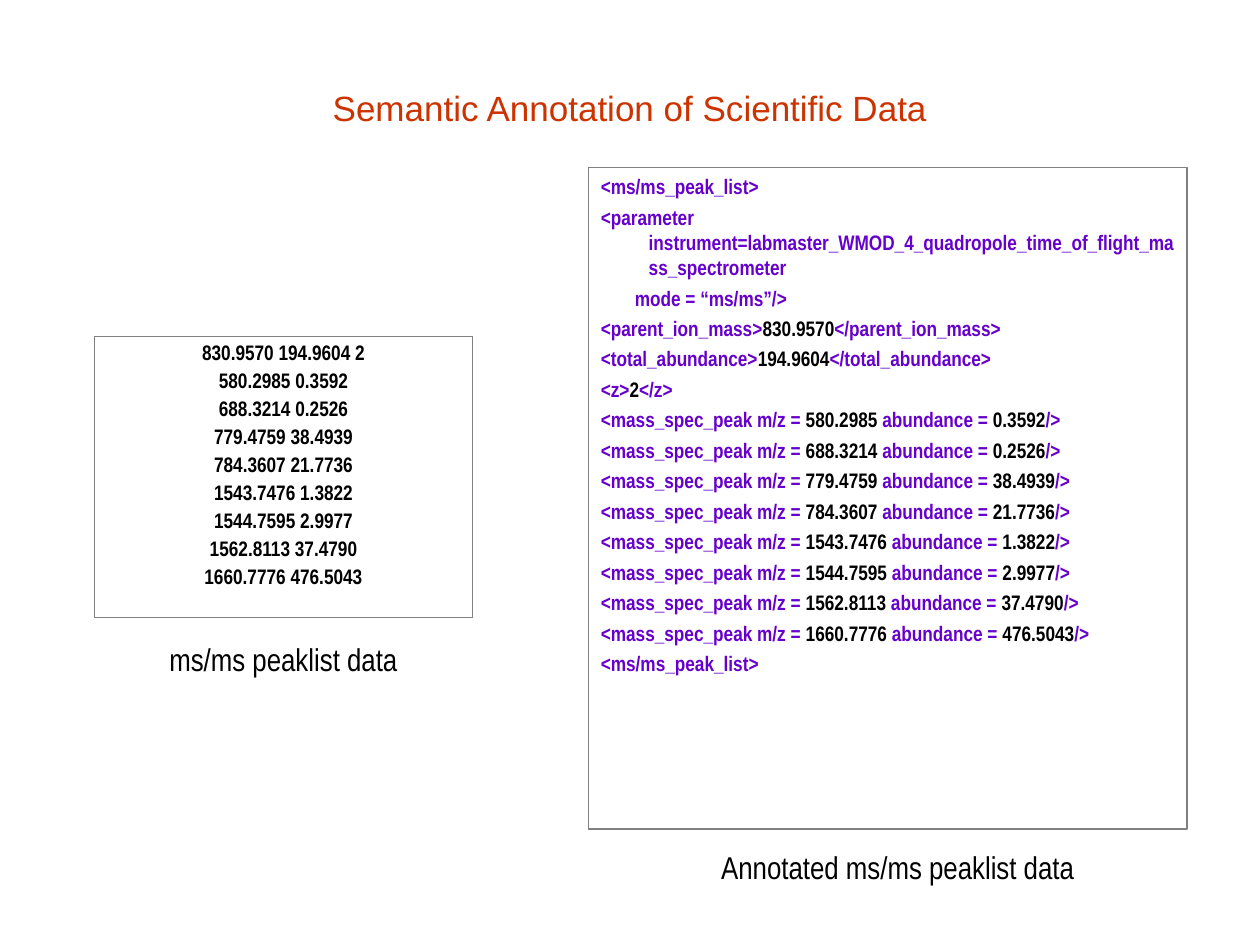
"""Build the slide on semantic annotation of mass spectrometry data."""
from pptx import Presentation, util as u
from pptx.dml.color import RGBColor
from pptx.enum import shapes, text

RED, PURPLE = RGBColor(0xCC, 0x33, 0x00), RGBColor(0x66, 0x00, 0xCC)
BLACK, GRAY = RGBColor(0, 0, 0), RGBColor(0x80, 0x80, 0x80)
CENTER, LEFT = text.PP_ALIGN.CENTER, text.PP_ALIGN.LEFT
NARROW = "Arial Narrow"
W, H = 10, 7.5
HANG = 0.38

TITLE = "Semantic Annotation of Scientific Data"
PARENT = ("830.9570", "194.9604", "2")
PEAKS = [
    ("580.2985", "0.3592"),
    ("688.3214", "0.2526"),
    ("779.4759", "38.4939"),
    ("784.3607", "21.7736"),
    ("1543.7476", "1.3822"),
    ("1544.7595", "2.9977"),
    ("1562.8113", "37.4790"),
    ("1660.7776", "476.5043"),
]
TAGS = ("parent_ion_mass", "total_abundance", "z")
LIST_TAG = "<ms/ms_peak_list>"
INSTRUMENT = "<parameter instrument=labmaster_WMOD_4_quadropole_time_of_flight_mass_spectrometer"
MODE = "mode = “ms/ms”/>"

TITLE_AT = (0.05 * W, 0.08 * H, 0.9 * W, 0.5)
RAW_AT = (0.75, 2.67, 3, 2.23)
RAW_CAPTION_AT = (0.75, 5.03, 3, 0.4)
XML_AT = (4.67, 1.33, 4.75, 5.25)
XML_CAPTION_AT = (5.25, 6.68, 3.75, 0.4)


def add_text(s, at, lines, font=NARROW, size=12, bold=False, colors=(BLACK,), align=CENTER,
             anchor=text.MSO_ANCHOR.TOP, before=0, spacing=None, hang=0, flush=(), framed=False):
    """Add lines of runs whose colours alternate through colors."""
    box = [u.Inches(v) for v in at]
    if framed:
        sp = s.shapes.add_shape(shapes.MSO_SHAPE.RECTANGLE, *box)
        sp.shadow.inherit = False
        sp.fill.background()
        sp.line.color.rgb, sp.line.width = GRAY, u.Pt(0.75)
    else:
        sp = s.shapes.add_textbox(*box)
    tf = sp.text_frame
    tf.word_wrap, tf.vertical_anchor = True, anchor
    for i, runs in enumerate(lines):
        p = tf.paragraphs[0] if i == 0 else tf.add_paragraph()
        p.alignment, p.space_before, p.line_spacing = align, u.Pt(before), spacing
        if hang:
            margin, first = (0.27, 0) if i in flush else (hang, -hang)
            pPr = p._p.get_or_add_pPr()
            pPr.set("marL", str(u.Inches(margin)))
            pPr.set("indent", str(u.Inches(first)))
        for j, words in enumerate(runs):
            r = p.add_run()
            r.text = words
            r.font.name, r.font.size, r.font.bold = font, u.Pt(size), bold
            r.font.color.rgb = colors[j % len(colors)]


def main():
    prs = Presentation()
    prs.slide_width, prs.slide_height = u.Inches(W), u.Inches(H)
    s = prs.slides.add_slide(prs.slide_layouts[6])

    raw = [[" ".join(row)] for row in [PARENT, *PEAKS]]
    header = [[f"<{tag}>", value, f"</{tag}>"] for tag, value in zip(TAGS, PARENT)]
    peaks = [["<mass_spec_peak m/z =", f" {mz} ", "abundance =", f" {ab}", "/>"]
             for mz, ab in PEAKS]
    xml = [[LIST_TAG], [INSTRUMENT], [MODE], *header, *peaks, [LIST_TAG]]

    add_text(s, TITLE_AT, [[TITLE]], font="Arial", size=20, colors=(RED,),
             anchor=text.MSO_ANCHOR.MIDDLE)
    add_text(s, RAW_AT, raw, bold=True, before=3, spacing=0.9, hang=HANG, framed=True)
    add_text(s, RAW_CAPTION_AT, [["ms/ms peaklist data"]], size=18, before=11.2)
    add_text(s, XML_AT, xml, bold=True, colors=(PURPLE, BLACK), align=LEFT, before=3,
             hang=HANG, flush=(xml.index([MODE]),), framed=True)
    add_text(s, XML_CAPTION_AT, [["Annotated ms/ms peaklist data"]], size=18, before=11.2)
    prs.save("out.pptx")


if __name__ == "__main__":
    main()
